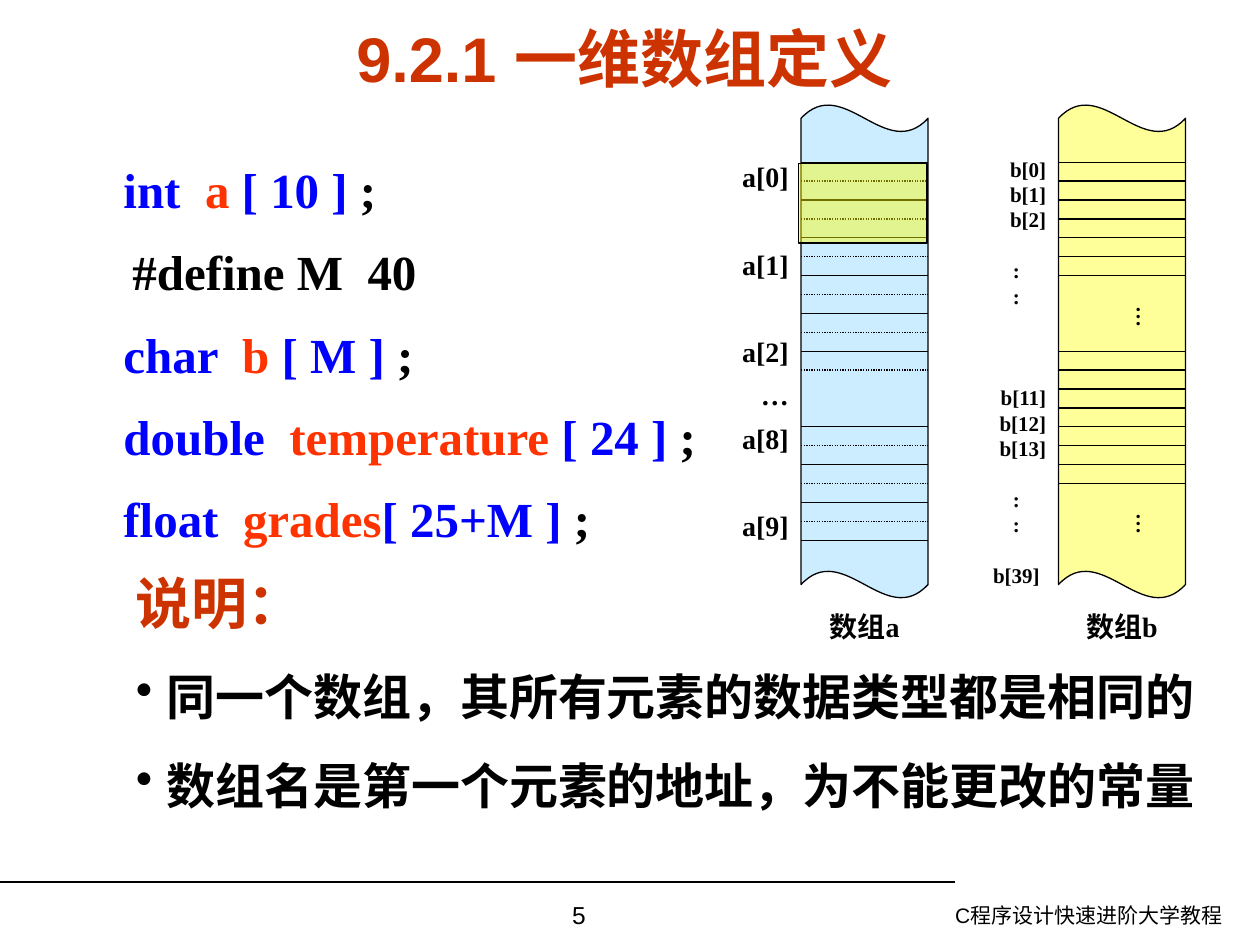
from dataclasses import dataclass

from lxml.etree import SubElement
from pptx import Presentation
from pptx.dml.color import RGBColor
from pptx.enum.dml import MSO_LINE
from pptx.enum.shapes import MSO_CONNECTOR, MSO_SHAPE
from pptx.enum.text import MSO_ANCHOR, PP_ALIGN
from pptx.oxml.ns import qn
from pptx.util import Cm, Pt

BLACK, BLUE, RED, BRICK = "000000", "0000FF", "FF3300", "CC3300"
SERIF, SANS = "Times New Roman", "Arial"
LEFT, MID, RIGHT = PP_ALIGN.LEFT, PP_ALIGN.CENTER, PP_ALIGN.RIGHT
WIDTH, STEP, TOP = 2.56, 0.381, 3.27


@dataclass
class Label:
    text: str
    skip: int = 0
    align: PP_ALIGN = RIGHT


@dataclass
class Array:
    name: str
    x: float
    fill: str
    rows: list[int]
    dotted: bool
    size: int
    pitch: float
    top: float
    labels: list[Label]


@dataclass
class Code:
    kind: str
    name: str
    tail: str


ARRAYS = [
    Array("b", 21.34, "FFFF99", [*range(7), *range(10, 18)], False, 12, 14.5, 3.02, [
        Label("b[0]"), Label("b[1]"), Label("b[2]"),
        Label(":", 1, MID), Label(":", 0, MID),
        Label("b[11]", 3), Label("b[12]"), Label("b[13]"),
        Label(":", 1, MID), Label(":", 0, MID), Label("b[39]", 1, MID)]),
    Array("a", 16.15, "CCECFF", [*range(12), *range(14, 21)], True, 16, 24.9, 2.9, [
        Label("a[0]"), Label("a[1]", 1), Label("a[2]", 1),
        Label("…"), Label("a[8]"), Label("a[9]", 1)]),
]
CODES = [
    Code("int  ", "a ", "[ 10 ]"),
    Code("", "", ""),
    Code("char  ", "b ", "[ M ]"),
    Code("double ", " temperature ", "[ 24 ]"),
    Code("float ", " grades", "[ 25+M ]"),
]
NOTES = ["同一个数组，其所有元素的数据类型都是相同的",
         "数组名是第一个元素的地址，为不能更改的常量"]


def rgb(code: str) -> RGBColor:
    return RGBColor.from_string(code)


def style(para, size, face=SANS, color=BLACK, bold=False, align=LEFT):
    font = para.font
    font.size, font.name, font.bold = Pt(size), face, bold
    font.color.rgb = rgb(color)
    para.alignment = align


def frame(slide, x, y, w, h):
    text = slide.shapes.add_textbox(Cm(x), Cm(y), Cm(w), Cm(h)).text_frame
    text.word_wrap = True
    return text


def write(slide, x, y, w, h, words, size, **look):
    para = frame(slide, x, y, w, h).paragraphs[0]
    para.text = words
    style(para, size, **look)


def next_para(text, index: int):
    return text.add_paragraph() if index else text.paragraphs[0]


def shape(slide, kind, x, y, w, h, fill, edge=True):
    item = slide.shapes.add_shape(kind, Cm(x), Cm(y), Cm(w), Cm(h))
    item.shadow.inherit = False
    item.fill.solid()
    item.fill.fore_color.rgb = rgb(fill)
    if edge:
        item.line.color.rgb = rgb(BLACK)
        item.line.width = Pt(0.75)
    else:
        item.line.fill.background()
    return item


def rule(slide, x, y, w, dotted=False):
    line = slide.shapes.add_connector(
        MSO_CONNECTOR.STRAIGHT, Cm(x), Cm(y), Cm(x + w), Cm(y))
    line.line.color.rgb = rgb(BLACK)
    line.line.width = Pt(0.75)
    if dotted:
        line.line.dash_style = MSO_LINE.ROUND_DOT
    SubElement(line._element.spPr, qn("a:effectLst"))


def draw_array(slide, arr: Array):
    wave = shape(slide, MSO_SHAPE.WAVE, arr.x, 2.11, WIDTH, 9.95, arr.fill)
    wave.adjustments[0] = 0.0277
    for row in arr.rows:
        rule(slide, arr.x, TOP + row * STEP, WIDTH, arr.dotted and row % 2 == 1)
    text = frame(slide, arr.x - 1.7, arr.top, 1.7, 8.4)
    for index, label in enumerate(arr.labels):
        para = next_para(text, index)
        para.text = label.text
        para.line_spacing = Pt(arr.pitch)
        para.space_before = Pt(arr.pitch * label.skip)
        style(para, arr.size, SERIF, bold=True, align=label.align)
    write(slide, arr.x, 12.17, WIDTH, 1.14, f"数组{arr.name}", 16,
          face=SERIF, bold=True, align=MID)


def draw_gap(slide, x, y, w):
    box = shape(slide, MSO_SHAPE.RECTANGLE, x, y, w, 1.14, "FFFF99", False)
    text = box.text_frame
    text.margin_left = text.margin_right = Cm(0.13)
    text.margin_top = text.margin_bottom = Cm(0.25)
    text.vertical_anchor = MSO_ANCHOR.TOP
    text._txBody.bodyPr.set("vert", "eaVert")
    text.text = "…"
    style(text.paragraphs[0], 12, SERIF, bold=True, align=PP_ALIGN.JUSTIFY)


def draw_code(slide):
    text = frame(slide, 2.24, 2.62, 14.1, 8.6)
    for index, code in enumerate(CODES):
        para = next_para(text, index)
        para.line_spacing = Pt(47)
        style(para, 28, SERIF, bold=True)
        if not code.kind:
            para.text = "#define M  40"
            para._p.get_or_add_pPr().set("marL", str(Cm(0.18)))
            continue
        parts = [(code.kind, BLUE), (code.name, RED), (code.tail, BLUE), (" ;", BLACK)]
        for words, color in parts:
            run = para.add_run()
            run.text = words
            run.font.color.rgb = rgb(color)


def draw_notes(slide):
    text = frame(slide, 2.49, 11.33, 22.91, 7.04)
    head = text.paragraphs[0]
    head.text = "说明："
    head.space_before = Pt(20)
    style(head, 32, SERIF, BRICK, True)
    for note in NOTES:
        para = text.add_paragraph()
        para.text = note
        para.space_before = Pt(17.5)
        style(para, 28, bold=True)
        props = para._p.get_or_add_pPr()
        props.set("marL", str(Cm(0.62)))
        props.set("indent", str(Cm(-0.62)))
        bullet = props.makeelement(qn("a:buChar"), {"char": "•"})
        props.find(qn("a:defRPr")).addprevious(bullet)


def main():
    deck = Presentation()
    deck.slide_width, deck.slide_height = Cm(25.4), Cm(19.05)
    slide = deck.slides.add_slide(deck.slide_layouts[5])
    title = slide.shapes.title
    title.left, title.top, title.width, title.height = Cm(1.09), Cm(0.53), Cm(22.99), Cm(1.27)
    title.text_frame.text = "9.2.1 一维数组定义"
    title.text_frame.vertical_anchor = MSO_ANCHOR.MIDDLE
    style(title.text_frame.paragraphs[0], 36, SANS, BRICK, True, MID)

    rule(slide, 0, 17.78, 19.25)
    write(slide, 16.69, 18.06, 8.2, 0.99, "C程序设计快速进阶大学教程", 12, align=RIGHT)
    write(slide, 8.71, 18.01, 5.92, 1.04, "5", 14, align=MID)
    draw_code(slide)
    for arr in ARRAYS:
        draw_array(slide, arr)
    draw_gap(slide, 22.2, 5.92, 1.27)
    draw_gap(slide, 21.77, 10.11, 1.7)
    first = shape(slide, MSO_SHAPE.RECTANGLE, 16.1, 3.3, 2.59, 1.6, "FFFF00")
    tint = first.fill._xPr.find(qn("a:solidFill"))[0]
    SubElement(tint, qn("a:alpha"), val="44000")
    draw_notes(slide)
    deck.save("out.pptx")


if __name__ == "__main__":
    main()
